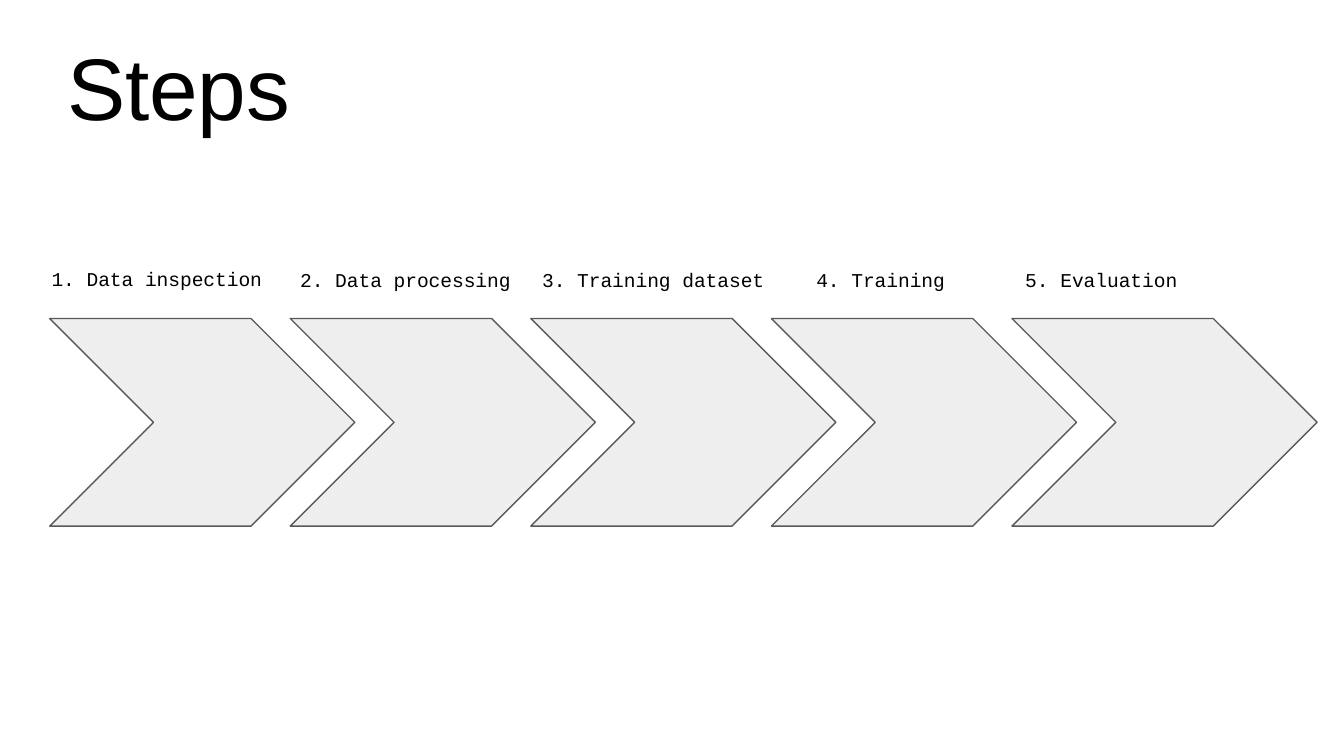
from pptx import Presentation
from pptx.dml.color import RGBColor
from pptx.enum.shapes import MSO_SHAPE as Shape
from pptx.enum.text import MSO_ANCHOR as Anchor, MSO_AUTO_SIZE as Fit, PP_ALIGN as Align
from pptx.util import Pt

PX = 4572
BLACK = RGBColor(0x00, 0x00, 0x00)
PALE = RGBColor(0xEE, 0xEE, 0xEE)
GRAY = RGBColor(0x59, 0x59, 0x59)

TITLE = "Steps"
STEPS = [
    ("1. Data inspection", 57, 364),
    ("2. Data processing", 427, 366),
    ("3. Training dataset", 787, 366),
    ("4. Training", 1195, 366),
    ("5. Evaluation", 1506, 366),
]
LEFT, TOP, WIDE, HIGH, PITCH = 74, 474, 454, 309, 358

HEAD = {"size": Pt(46.8), "name": "Arial", "bold": False}
LABEL = {"size": Pt(10.5), "name": "Courier New"}
INSET = dict.fromkeys(
    ("margin_left", "margin_top", "margin_right", "margin_bottom"), 20 * PX)


def style(obj, form):
    for key, val in form.items():
        setattr(obj, key, val)


def box(*px):
    return [n * PX for n in px]


def write(shape, text, font, frame, para):
    tf = shape.text_frame
    tf.text = text
    style(tf, {**INSET, "word_wrap": True, **frame})
    line = tf.paragraphs[0]
    style(line, para)
    run = line.runs[0]
    style(run.font, font)
    run.font.color.rgb = BLACK


def chevron(slide, left):
    shape = slide.shapes.add_shape(Shape.CHEVRON, *box(left, TOP, WIDE, HIGH))
    shape.shadow.inherit = False
    shape.adjustments[0] = 0.5
    shape.fill.solid()
    shape.fill.fore_color.rgb = PALE
    shape.line.color.rgb = GRAY
    shape.line.width = Pt(0.75)


def main():
    deck = Presentation()
    deck.slide_width, deck.slide_height = box(2000, 1125)
    slide = deck.slides.add_slide(deck.slide_layouts[5])

    title = slide.shapes.title
    style(title, dict(zip(("left", "top", "width", "height"), box(-269, 36, 1070, 190))))
    write(title, TITLE, HEAD,
          {"vertical_anchor": Anchor.BOTTOM, "auto_size": Fit.NONE},
          {"alignment": Align.CENTER})

    for i in range(len(STEPS)):
        chevron(slide, LEFT + i * PITCH)

    for text, left, top in STEPS:
        label = slide.shapes.add_textbox(*box(left, top, 656, 76))
        write(label, text, LABEL,
              {"vertical_anchor": Anchor.TOP, "auto_size": Fit.SHAPE_TO_FIT_TEXT},
              {"alignment": Align.LEFT, "line_spacing": 1.36})

    deck.save("out.pptx")


if __name__ == "__main__":
    main()
